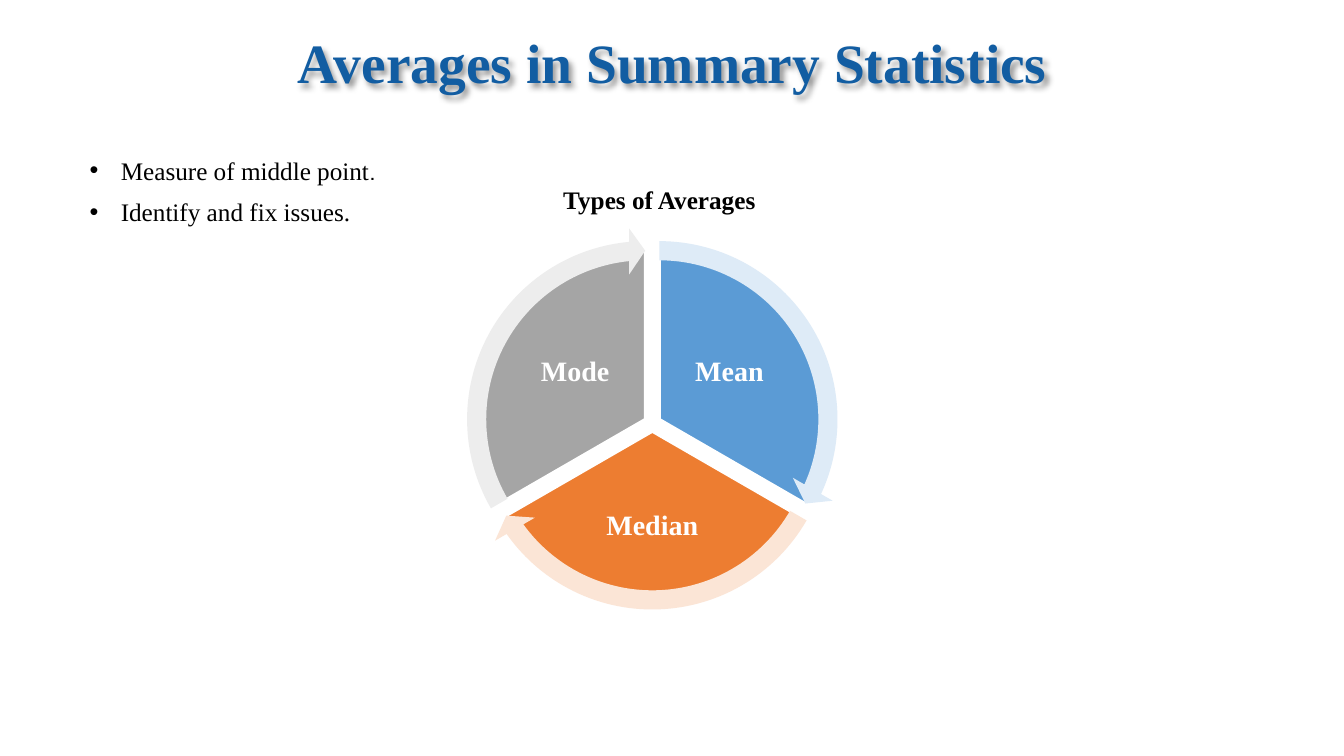
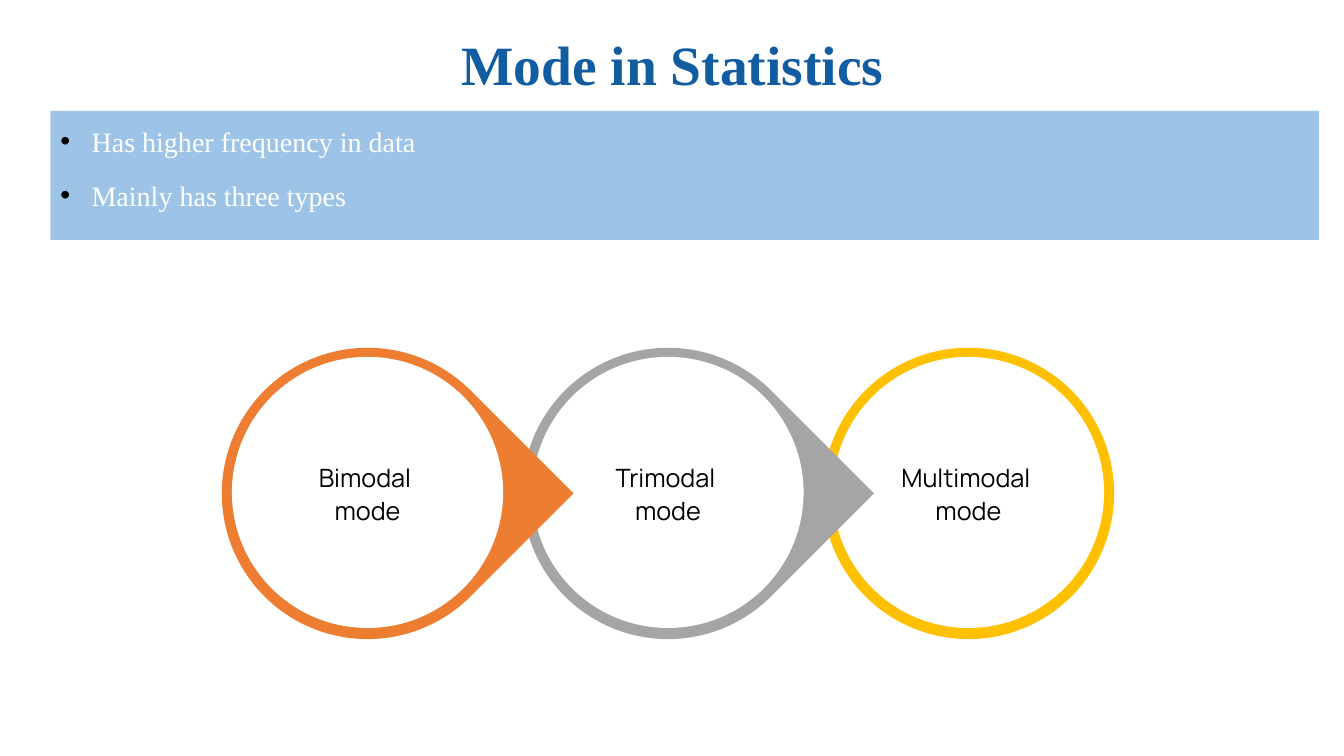
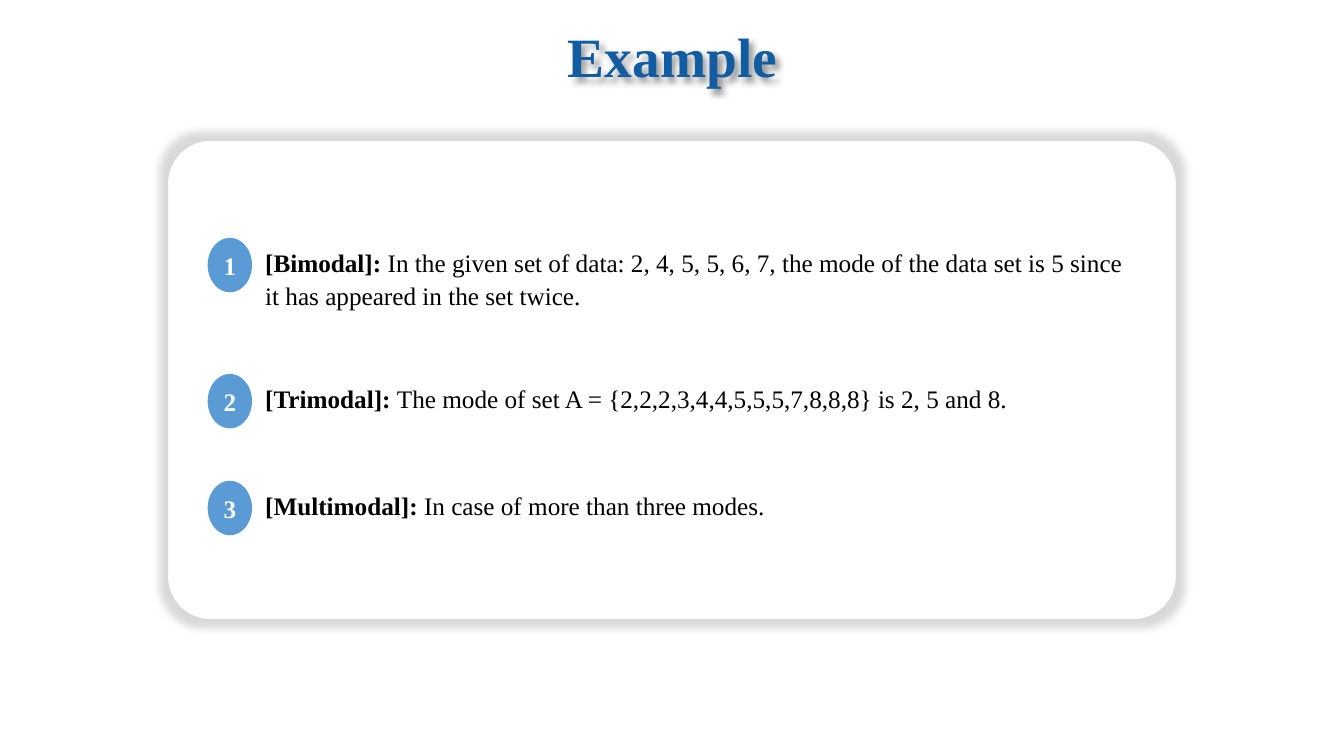
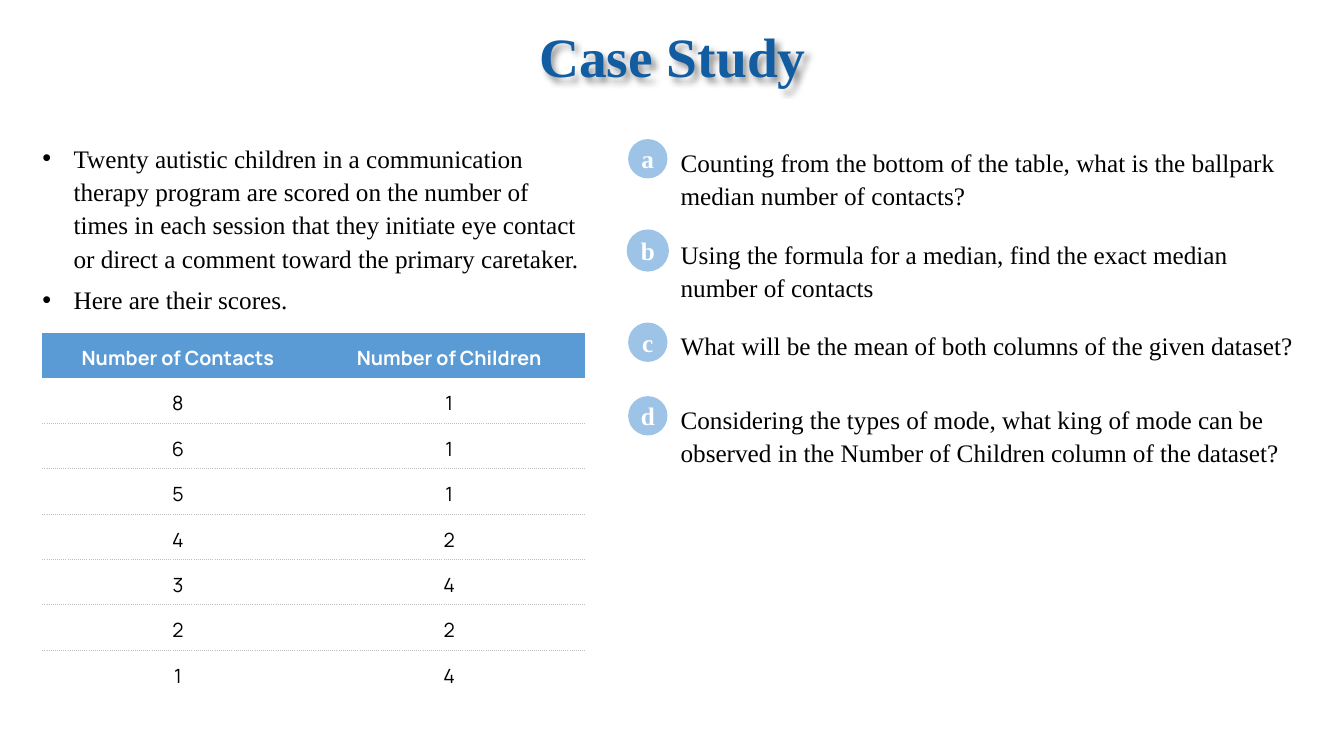
from pptx import Presentation
from pptx.dml.color import RGBColor as Rgb
from pptx.enum.shapes import MSO_SHAPE as Kind
from pptx.enum.text import MSO_ANCHOR as Anchor, PP_ALIGN as Align
from pptx.oxml import parse_xml
from pptx.oxml.ns import nsdecls, qn
from pptx.util import Inches, Pt

HUES = {
    "title": "125DA2", "black": "000000", "white": "FFFFFF", "grid": "BFBFBF",
    "edge": "D9D9D9", "blue": "5B9BD5", "sky": "9DC3E6", "orange": "ED7D31",
    "gray": "A5A5A5", "gold": "FFC000", "ice": "DEEBF7", "peach": "FBE5D6",
    "mist": "EDEDED",
}
SERIF, SANS = "Times New Roman", "Manrope"
PLAIN = "{2D5ABB26-0587-4C30-8999-92F81FD0307C}"


def node(tag, body):
    return parse_xml(f"<a:{tag} {nsdecls('a')}{body}</a:{tag}>")


class Deck:
    """Holds the deck, its style and the current slide."""

    def __init__(self):
        self.prs = Presentation()
        self.prs.slide_width = Inches(13.33)
        self.prs.slide_height = Inches(7.5)
        self.slide = None

    def page(self, title, height, shade=True):
        self.slide = self.prs.slides.add_slide(self.prs.slide_layouts[6])
        box = self.text((0.67, 0.29, 12, height), [[title]], pad=(0.1, 0.05, 0.1, 0.05),
                        anchor=Anchor.MIDDLE, align=Align.CENTER, gap=0.9,
                        size=39.6, hue="title", bold=True)
        if shade:
            self.effect(box, "outerShdw", ' blurRad="50800" dist="38100" dir="2700000"'
                        ' algn="tl" rotWithShape="0"><a:prstClr val="black">'
                        '<a:alpha val="40000"/></a:prstClr>')

    def effect(self, shape, tag, body):
        shape.shadow.inherit = False
        shape.element.spPr.find(qn("a:effectLst")).append(node(tag, body))

    def put(self, frame, paras, pad=(0, 0, 0, 0), anchor=Anchor.TOP, align=Align.LEFT,
            gap=1.1, after=0, bullet=False, size=18, font=SERIF, hue="black", bold=False):
        frame.word_wrap = True
        frame.vertical_anchor = anchor
        (frame.margin_left, frame.margin_top,
         frame.margin_right, frame.margin_bottom) = map(Inches, pad)
        for i, parts in enumerate(paras):
            para = frame.add_paragraph() if i else frame.paragraphs[0]
            para.alignment, para.line_spacing = align, gap
            para.space_before, para.space_after = Pt(0), Pt(after)
            if bullet:
                prop = para._p.get_or_add_pPr()
                prop.set("marL", str(Inches(0.31)))
                prop.set("indent", str(-Inches(0.31)))
                prop.append(node("buClr", f'><a:srgbClr val="{HUES["black"]}"/>'))
                prop.append(node("buFont", ' typeface="Arial">'))
                prop.append(node("buChar", ' char="•">'))
            for part in parts:
                if part == "\n":
                    para.add_line_break()
                    continue
                words, own = part if isinstance(part, tuple) else (part, {})
                run = para.add_run()
                run.text = words
                run.font.name = own.get("font", font)
                run.font.size = Pt(size)
                run.font.bold = own.get("bold", bold)
                run.font.color.rgb = Rgb.from_string(HUES[hue])

    def text(self, at, paras, **style):
        box = self.slide.shapes.add_textbox(*map(Inches, at))
        self.put(box.text_frame, paras, **style)
        return box

    def shape(self, kind, at, fill, line=None, width=1, turn=0, adj=(), paras=(), **style):
        shape = self.slide.shapes.add_shape(kind, *map(Inches, at))
        shape.shadow.inherit = False
        shape.rotation = turn
        shape.fill.solid()
        shape.fill.fore_color.rgb = Rgb.from_string(HUES[fill])
        if line:
            shape.line.color.rgb = Rgb.from_string(HUES[line])
            shape.line.width = Pt(width)
        else:
            shape.line.fill.background()
        for i, value in enumerate(adj):
            shape.adjustments[i] = value
        if paras:
            self.put(shape.text_frame, paras, **style)
        return shape

    def item(self, mark, parts, at, badge, fill, line=None):
        self.text(at, [parts])
        self.shape(Kind.OVAL, badge, fill, line, 2, paras=[[mark]], anchor=Anchor.MIDDLE,
                   align=Align.CENTER, gap=1, hue="white", bold=True)

    def table(self, at, rows):
        frame = self.slide.shapes.add_table(len(rows), len(rows[0]), *map(Inches, at))
        table = frame.table
        table.horz_banding = False
        for style in frame.element.iter(qn("a:tableStyleId")):
            style.text = PLAIN
        for r, row in enumerate(rows):
            table.rows[r].height = Inches(at[3] / len(rows))
            for c, value in enumerate(row):
                cell, head = table.cell(r, c), r == 0
                if head:
                    cell.fill.solid()
                    cell.fill.fore_color.rgb = Rgb.from_string(HUES["blue"])
                else:
                    cell.fill.background()
                self.put(cell.text_frame, [[str(value)]], align=Align.CENTER, gap=1.07,
                         size=14, font=SANS, hue="white" if head else "black", bold=head)
                cell.margin_left = cell.margin_right = Inches(0.1)
                cell.margin_top = cell.margin_bottom = Inches(0.1)
                if 0 < r < len(rows) - 1:
                    cell._tc.get_or_add_tcPr().insert(0, node(
                        "lnB", f' w="{Pt(0.75)}"><a:solidFill><a:srgbClr val="{HUES["grid"]}"/>'
                        '</a:solidFill><a:prstDash val="sysDot"/>'))


def types(deck):
    deck.page("Averages in Summary Statistics", 0.72)
    deck.text((0.79, 1.46, 6.67, 0.85),
              [["Measure of middle point", (".", {"font": SANS})], ["Identify and fix issues."]],
              pad=(0.1, 0.05, 0.1, 0.05), after=6, bullet=True)
    deck.text((4.64, 1.8, 3.8, 0.33), [["Types of Averages"]], align=Align.CENTER, bold=True)
    wedges = [
        ("Mean", 6.54, 4.16, "blue", "ice", (1.39, 0, 0, 0.94)),
        ("Median", 6.47, 4.28, "orange", "peach", (0, 1.89, 0, 0)),
        ("Mode", 6.4, 4.16, "gray", "mist", (0, 0, 1.39, 0.94)),
    ]
    turn, pie, ring = 216, 1.69, 1.9
    for i, (name, x, y, fill, pale, pad) in enumerate(wedges):
        start, end, tip = [(a + i * turn / 3) % turn for a in (162, 18, 14.72)]
        deck.shape(Kind.PIE, (x - pie, y - pie, 2 * pie, 2 * pie), fill, "white", 2,
                   adj=(start, end), paras=[[name]], pad=pad, anchor=Anchor.MIDDLE,
                   align=Align.CENTER, gap=0.9, size=20, hue="white", bold=True)
        deck.shape(Kind.CIRCULAR_ARROW, (x - ring, y - ring, 2 * ring, 2 * ring), pale,
                   adj=(0.05, 3.28, tip, start, 0.06))


def modes(deck):
    deck.page("Mode in Statistics", 0.75, shade=False)
    deck.shape(Kind.RECTANGLE, (0.5, 1.1, 12.58, 1.28), "sky",
               paras=[["Has higher frequency in data"], ["Mainly has three types"]],
               pad=(0.1,) * 4, after=12, bullet=True, size=20, hue="white")
    rings = [
        ("Bimodal ", Kind.TEAR, "orange"),
        ("Trimodal ", Kind.TEAR, "gray"),
        ("Multimodal ", Kind.OVAL, "gold"),
    ]
    for i, (name, kind, hue) in reversed(list(enumerate(rings))):
        x = 2.2 + 2.98 * i
        tear = kind == Kind.TEAR
        deck.shape(kind, (x, 3.45, 2.89, 2.89), hue, turn=45 if tear else 0,
                   adj=(1,) if tear else ())
        deck.shape(Kind.OVAL, (x + 0.1, 3.54, 2.69, 2.69), "white",
                   paras=[[name, "\n", "mode"]], anchor=Anchor.MIDDLE,
                   align=Align.CENTER, font=SANS)


def sample(deck):
    deck.page("Example", 0.6)
    panel = deck.shape(Kind.ROUNDED_RECTANGLE, (1.66, 1.39, 10.01, 4.76), "white", "edge",
                       adj=(0.09,))
    deck.effect(panel, "glow", f' rad="{Pt(11)}"><a:srgbClr val="{HUES["edge"]}"/>')
    items = [
        (2.42, "[Bimodal]: ", "In the given set of data: 2, 4, 5, 5, 6, 7, the mode of the "
         "data set is 5 since it has appeared in the set twice."),
        (3.77, "[Trimodal]: ", "The mode of set A = {2,2,2,3,4,4,5,5,5,7,8,8,8} is 2, 5 and 8."),
        (4.83, "[Multimodal]: ", "In case of more than three modes."),
    ]
    for i, (y, name, words) in enumerate(items, 1):
        deck.item(str(i), [(name, {"bold": True}), words], (2.63, y, 8.62, 0.67),
                  (2.06, y - 0.06, 0.44, 0.54), "blue")


def study(deck):
    deck.page("Case Study", 0.6)
    deck.text((0.42, 1.39, 5.38, 1.83), [
        ["Twenty autistic children in a communication therapy program are scored on the "
         "number of times in each session that they initiate eye contact or direct a "
         "comment toward the primary caretaker."],
        ["Here are their scores."]], after=6, bullet=True)
    deck.table((0.42, 3.3, 5.38, 3.53), [
        ("Number of Contacts", "Number of Children"),
        (8, 1), (6, 1), (5, 1), (4, 2), (3, 4), (2, 2), (1, 4)])
    asks = [
        ("a", 1.43, "Counting from the bottom of the table, what is the ballpark median "
         "number of contacts?", None),
        ("b", 2.34, "Using the formula for a median, find the exact median number of "
         "contacts", "sky"),
        ("c", 3.25, "What will be the mean of both columns of the given dataset?", None),
        ("d", 3.98, "Considering the types of mode, what king of mode can be observed in "
         "the Number of Children column of the dataset?", None),
    ]
    for mark, y, words, line in asks:
        deck.item(mark, [words], (6.75, y, 6.21, 0.67), (6.23, y - 0.05, 0.39, 0.39),
                  "sky", line)


def main():
    deck = Deck()
    for build in (types, modes, sample, study):
        build(deck)
    deck.prs.save("out.pptx")


if __name__ == "__main__":
    main()
